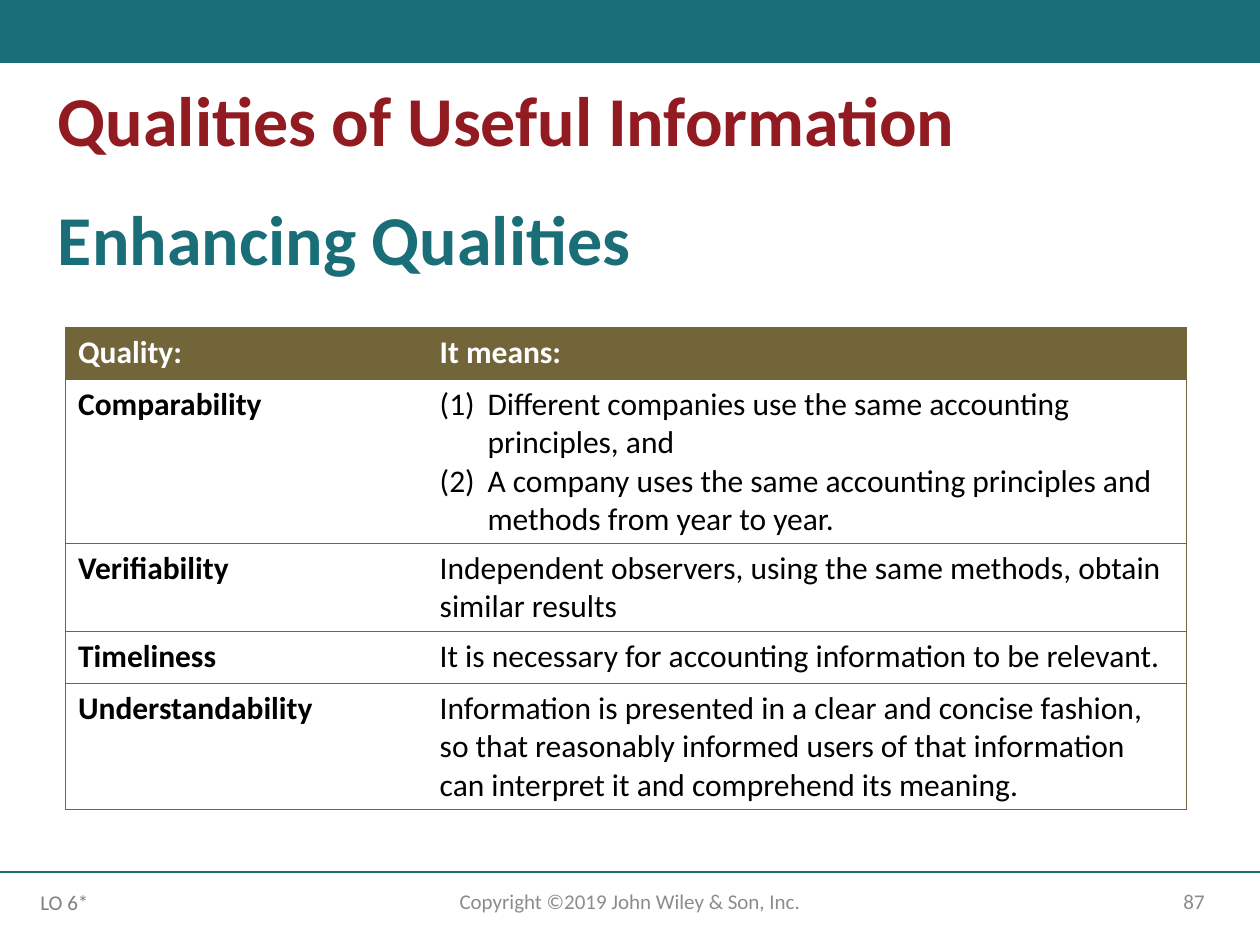
import pptx
import pptx.util
import pptx.dml.color
import pptx.enum.shapes
import pptx.enum.text
import pptx.oxml.ns
from lxml import etree

Inches, Pt = pptx.util.Inches, pptx.util.Pt
RGB = pptx.dml.color.RGBColor
ALIGN = pptx.enum.text.PP_ALIGN
ANCHOR = pptx.enum.text.MSO_ANCHOR
qn = pptx.oxml.ns.qn

TEAL = RGB(0x19, 0x6E, 0x78)
RED = RGB(0x91, 0x1B, 0x21)
OLIVE = RGB(0x73, 0x65, 0x3A)
GRAY = RGB(0x8C, 0x8C, 0x8C)
DARK_GRAY = RGB(0x80, 0x80, 0x80)
WHITE = RGB(0xFF, 0xFF, 0xFF)
BLACK = RGB(0, 0, 0)

TITLE = [("Qualities of Useful Information", RED, 0),
         ("Enhancing Qualities", TEAL, 25)]
ROWS = [
    ("Quality:", ["It means:"]),
    ("Comparability", [
        "Different companies use the same accounting principles, and",
        "A company uses the same accounting principles and methods from year to year."]),
    ("Verifiability", [
        "Independent observers, using the same methods, obtain similar results"]),
    ("Timeliness", ["It is necessary for accounting information to be relevant."]),
    ("Understandability", [
        "Information is presented in a clear and concise fashion, so that reasonably "
        "informed users of that information can interpret it and comprehend its meaning."]),
]
COL_WIDTHS = [2.87, 6.03]
ROW_HEIGHTS = [0.41, 1.29, 0.7, 0.41, 1.0]
FOOTERS = [("87", 7.06, 2.6, ALIGN.RIGHT),
           ("Copyright ©2019 John Wiley & Son, Inc.", 3.31, 3.38, ALIGN.CENTER)]


def place(sp, *box):
    sp.left, sp.top, sp.width, sp.height = map(Inches, box)


def write(p, text, size, color, bold=False):
    r = p.add_run()
    r.text = text
    formats = {"name": "Calibri", "size": Pt(size), "bold": bold}
    for name, value in formats.items():
        setattr(r.font, name, value)
    r.font.color.rgb = color


def set_bullet(p, tag, margin, indent, **attrs):
    pPr = p._p.get_or_add_pPr()
    pPr.set("marL", str(Inches(margin)))
    pPr.set("indent", str(Inches(indent)))
    etree.SubElement(pPr, qn(tag), attrs)


def set_borders(cell, visible):
    """Draw the named sides in olive and clear the others; call before filling."""
    tcPr = cell._tc.get_or_add_tcPr()
    for side in "LRTB":
        ln = etree.SubElement(tcPr, qn("a:ln" + side), w=str(Pt(0.5)))
        if side in visible:
            fill = etree.SubElement(ln, qn("a:solidFill"))
            etree.SubElement(fill, qn("a:srgbClr"), val=str(OLIVE))
        else:
            etree.SubElement(ln, qn("a:noFill"))


prs = pptx.Presentation()
prs.slide_width, prs.slide_height = Inches(10), Inches(7.5)
s = prs.slides.add_slide(prs.slide_layouts[1])

# Top band and footer rule
band = s.shapes.add_shape(pptx.enum.shapes.MSO_SHAPE.RECTANGLE, 0, 0, Inches(10), Inches(0.5))
band.shadow.inherit = False
band.fill.solid()
band.fill.fore_color.rgb = TEAL
band.line.fill.background()
rule = s.shapes.add_connector(pptx.enum.shapes.MSO_CONNECTOR.STRAIGHT,
                              0, Inches(6.92), Inches(10), Inches(6.92))
rule.line.color.rgb = TEAL
rule.line.width = Pt(1)
etree.SubElement(rule._element.spPr, qn("a:effectLst"))

# Title
title = s.shapes.title
place(title, 0.36, 0.63, 9.49, 2.28)
tf = title.text_frame
tf.auto_size = pptx.enum.text.MSO_AUTO_SIZE.NONE
tf.vertical_anchor = ANCHOR.TOP
for i, (text, color, before) in enumerate(TITLE):
    p = tf.add_paragraph() if i else tf.paragraphs[0]
    p.alignment, p.line_spacing, p.space_before = ALIGN.LEFT, 0.9, Pt(before)
    write(p, text, 40, color, True)

# Footer
for text, left, width, align in FOOTERS:
    tf = s.shapes.add_textbox(Inches(left), Inches(6.95), Inches(width), Inches(0.4)).text_frame
    tf.word_wrap = True
    tf.vertical_anchor = ANCHOR.MIDDLE
    tf.paragraphs[0].alignment = align
    write(tf.paragraphs[0], text, 12, GRAY)

objective = s.placeholders[1]
place(objective, 0.25, 7.01, 0.53, 0.3)
tf = objective.text_frame
tf.auto_size = pptx.enum.text.MSO_AUTO_SIZE.NONE
tf.margin_left = tf.margin_right = 0
p = tf.paragraphs[0]
set_bullet(p, "a:buNone", 0.07, 0)
p.space_before = Pt(0)
write(p, "LO 6*", 12, DARK_GRAY)

# Table
table = s.shapes.add_table(len(ROWS), 2, Inches(0.52), Inches(2.6),
                           Inches(sum(COL_WIDTHS)), Inches(sum(ROW_HEIGHTS))).table
for col, width in zip(table.columns, COL_WIDTHS):
    col.width = Inches(width)
for i, (quality, meanings) in enumerate(ROWS):
    table.rows[i].height = Inches(ROW_HEIGHTS[i])
    header = i == 0
    for j, texts in enumerate([[quality], meanings]):
        cell = table.cell(i, j)
        set_borders(cell, "LR"[j] + "TB")
        if header:
            cell.fill.solid()
            cell.fill.fore_color.rgb = OLIVE
        else:
            cell.fill.background()
        tf = cell.text_frame
        for k, text in enumerate(texts):
            p = tf.add_paragraph() if k else tf.paragraphs[0]
            if len(texts) > 1:
                set_bullet(p, "a:buAutoNum", 0.38, -0.38, type="arabicParenBoth")
            write(p, text, 18, WHITE if header else BLACK, header or j == 0)

prs.save("out.pptx")
